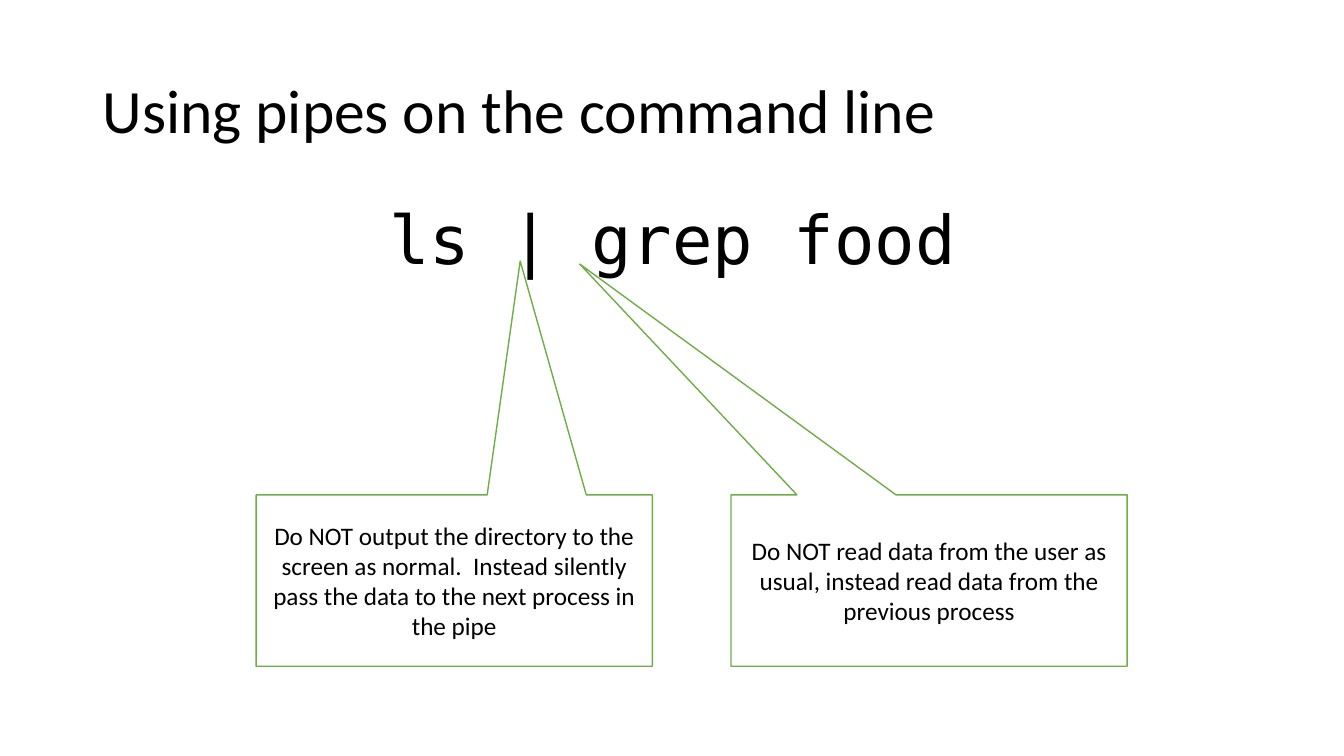
from pptx import Presentation
from pptx.dml.color import RGBColor
from pptx.enum.shapes import MSO_SHAPE
from pptx.enum.text import MSO_ANCHOR, PP_ALIGN
from pptx.util import Inches, Pt

CALLOUT = MSO_SHAPE.RECTANGULAR_CALLOUT
TOP, MIDDLE = MSO_ANCHOR.TOP, MSO_ANCHOR.MIDDLE
LEFT, CENTER = PP_ALIGN.LEFT, PP_ALIGN.CENTER

BLACK = RGBColor(0x00, 0x00, 0x00)
WHITE = RGBColor(0xFF, 0xFF, 0xFF)
GREEN = RGBColor(0x70, 0xAD, 0x47)

TITLE = {"name": "Calibri", "size": Pt(44)}
COMMAND = {"name": "DejaVu Sans Mono", "size": Pt(48)}
NOTE = {"name": "Calibri", "size": Pt(18)}

CALLOUT_TOP, CALLOUT_W, CALLOUT_H = 4.91, 3.93, 1.7
CALLOUTS = [
    (2.54, (5.16, 2.59),
     "Do NOT output the directory to the screen as normal.  Instead silently "
     "pass the data to the next process in the pipe"),
    (7.25, (5.75, 2.62),
     "Do NOT read data from the user as usual, instead read data from the "
     "previous process"),
]


class SlideBuilder:
    """Adds styled text and callouts to one slide."""

    def __init__(self, prs):
        self.s = prs.slides.add_slide(prs.slide_layouts[6])

    def fill_text(self, sp, text, font, anchor, para):
        tf = sp.text_frame
        tf.word_wrap = True
        tf.vertical_anchor = anchor
        p = tf.paragraphs[0]
        r = p.add_run()
        r.text = text
        r.font.color.rgb = BLACK
        for target, values in ((p, para), (r.font, font)):
            for key, value in values.items():
                setattr(target, key, value)

    def text(self, box, text, font, anchor, **para):
        sp = self.s.shapes.add_textbox(*map(Inches, box))
        self.fill_text(sp, text, font, anchor, {"line_spacing": 0.9, **para})

    def callout(self, box, tip, text):
        x, y, w, h = box
        sp = self.s.shapes.add_shape(CALLOUT, *map(Inches, box))
        sp.shadow.inherit = False
        sp.adjustments[0] = (tip[0] - x) / w - 0.5
        sp.adjustments[1] = (tip[1] - y) / h - 0.5
        sp.fill.solid()
        sp.fill.fore_color.rgb = WHITE
        sp.line.color.rgb = GREEN
        sp.line.width = Pt(1)
        self.fill_text(sp, text, NOTE, MIDDLE, {"alignment": CENTER})


def main():
    prs = Presentation()
    prs.slide_width, prs.slide_height = Inches(13.33), Inches(7.5)
    slide = SlideBuilder(prs)
    slide.text((0.92, 0.4, 11.5, 1.45), "Using pipes on the command line",
               TITLE, MIDDLE, alignment=LEFT)
    slide.text((0.92, 2, 11.5, 0.85), "ls | grep food",
               COMMAND, TOP, alignment=CENTER, space_before=Pt(10))
    for left, tip, text in CALLOUTS:
        slide.callout((left, CALLOUT_TOP, CALLOUT_W, CALLOUT_H), tip, text)
    prs.save("out.pptx")


if __name__ == "__main__":
    main()
